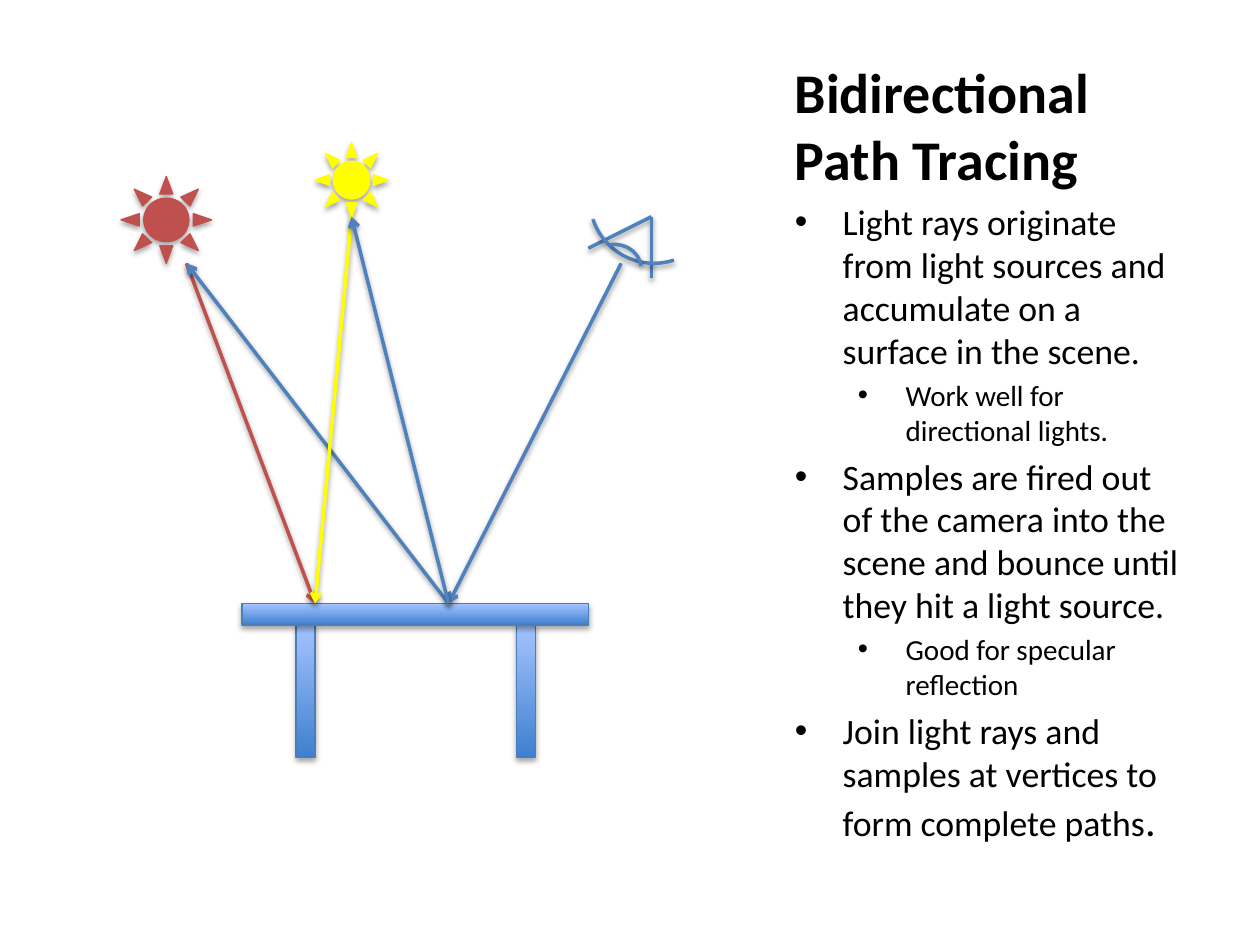
from dataclasses import dataclass

from lxml import etree
from pptx import Presentation, util as u
from pptx.dml.color import RGBColor
from pptx.enum import shapes, text
from pptx.oxml import ns

Inches, Pt = u.Inches, u.Pt
Kind = shapes.MSO_SHAPE


@dataclass(frozen=True)
class Theme:
    """Colours and type sizes of the slide."""
    font: str = "Calibri"
    ink: str = "000000"
    blue: str = "4F81BD"
    edge: str = "4B7EBC"
    deep: str = "3F80CE"
    pale: str = "A4C4FF"
    red: str = "C0504D"
    yellow: str = "FFFF00"
    title: float = 32
    points: tuple = (20.4, 16.6)
    stop: float = 24.1
    thin: float = 0.75
    thick: float = 2


@dataclass(frozen=True)
class Ray:
    """A straight line between two points."""
    start: tuple
    end: tuple
    color: str
    arrow: bool = True


@dataclass(frozen=True)
class Part:
    """A preset shape: box in inches, colour, optional turn."""
    kind: int
    box: tuple
    color: str
    turn: float = 0


@dataclass(frozen=True)
class Point:
    """A bullet with its level and an optional larger ending."""
    words: str
    level: int = 0
    tail: str = ""


T = Theme()
RED, GOLD, EYE = (1.48, 2.09), (2.79, 1.72), (4.93, 2.09)
LEFT, RIGHT = (2.5, 4.79), (3.56, 4.79)
LENS = (5.17, 1.72)

LIDS = [Ray((4.67, 1.97), LENS, T.blue, False),
        Ray(LENS, (5.17, 2.21), T.blue, False)]
ARCS = [Part(Kind.ARC, (4.68, 1.07, 1.02, 1.02), T.blue, 161.8),
        Part(Kind.ARC, (4.65, 1.94, 0.44, 0.4), T.blue, 352.6)]
TABLE = [Part(Kind.RECTANGLE, (x, 4.96, 0.15, 1.05), T.edge)
         for x in (2.35, 4.1)]
TABLE.append(Part(Kind.RECTANGLE, (1.92, 4.79, 2.75, 0.17), T.edge))
SCENE = LIDS + ARCS + TABLE + [
    Part(Kind.SUN, (0.96, 1.4, 0.72, 0.69), T.red),
    Ray(RED, LEFT, T.red),
    Ray(EYE, RIGHT, T.blue),
    Ray(RIGHT, RED, T.blue),
    Part(Kind.SUN, (2.5, 1.13, 0.58, 0.6), T.yellow),
    Ray(GOLD, LEFT, T.yellow),
    Ray(RIGHT, GOLD, T.blue),
]
POINTS = [
    Point("Light rays originate from light sources and accumulate "
          "on a surface in the scene."),
    Point("Work well for directional lights.", 1),
    Point("Samples are fired out of the camera into the scene and "
          "bounce until they hit a light source."),
    Point("Good for specular reflection", 1),
    Point("Join light rays and samples at vertices to form complete paths",
          tail="."),
]


def rgb(code: str) -> RGBColor:
    """Turn a hex code into a colour."""
    return RGBColor.from_string(code)


def sub(node, tag: str, **attrs):
    """Append a drawing element to a node."""
    return etree.SubElement(node, ns.qn("a:" + tag), attrs)


def shade(shape, dist: float, alpha: int) -> None:
    """Drop a soft shadow straight below a shape."""
    props = shape._element.spPr
    for old in props.findall(ns.qn("a:effectLst")):
        props.remove(old)
    cast = sub(sub(props, "effectLst"), "outerShdw", blurRad=str(Pt(3.1)),
               dist=str(Pt(dist)), dir="5400000", rotWithShape="0")
    tint = sub(cast, "srgbClr", val=T.ink)
    sub(tint, "alpha", val=str(alpha * 1000))


def stroke(shape, color: str, width: float) -> None:
    """Set the line of a shape."""
    shape.line.color.rgb = rgb(color)
    shape.line.width = Pt(width)


def draw_ray(slide, ray: Ray) -> None:
    """Draw a line, with an arrowhead if wanted."""
    ends = [Inches(v) for v in ray.start + ray.end]
    line = slide.shapes.add_connector(shapes.MSO_CONNECTOR.STRAIGHT, *ends)
    stroke(line, ray.color, T.thick)
    if ray.arrow:
        sub(line.line._get_or_add_ln(), "tailEnd", type="arrow")
    shade(line, 1.6, 38)


def draw_part(slide, part: Part) -> None:
    """Draw an arc, a table board or a sun."""
    box = [Inches(v) for v in part.box]
    shape = slide.shapes.add_shape(part.kind, *box)
    shape.rotation = part.turn
    curve = part.kind == Kind.ARC
    if curve:
        shape.fill.background()
    elif part.kind == Kind.RECTANGLE:
        shape.fill.gradient()
        shape.fill.gradient_angle = 90
        stops = shape.fill.gradient_stops
        for stop, place, color in zip(stops, (0, 1), (T.deep, T.pale)):
            stop.position = place
            stop.color.rgb = rgb(color)
    else:
        shape.fill.solid()
        shape.fill.fore_color.rgb = rgb(part.color)
    stroke(shape, part.color, T.thick if curve else T.thin)
    shade(shape, *((1.6, 38) if curve else (1.8, 35)))


def style(run, size: float, bold: bool = False) -> None:
    """Format one run."""
    font = run.font
    font.name, font.size, font.bold = T.font, Pt(size), bold
    font.color.rgb = rgb(T.ink)


def add_box(slide, top: float, height: float):
    """Add a wrapping text box in the right column."""
    box = slide.shapes.add_textbox(Inches(6.21), Inches(top),
                                   Inches(3.29), Inches(height))
    box.text_frame.word_wrap = True
    return box.text_frame


def add_title(slide) -> None:
    """Write the heading."""
    frame = add_box(slide, 0.3, 1.27)
    frame.vertical_anchor = text.MSO_ANCHOR.BOTTOM
    frame.text = "Bidirectional Path Tracing"
    style(frame.paragraphs[0].runs[0], T.title, True)


def add_points(slide) -> None:
    """Write the bullet list."""
    frame = add_box(slide, 1.54, 5.13)
    for i, item in enumerate(POINTS):
        para = frame.add_paragraph() if i else frame.paragraphs[0]
        para.text = item.words
        para.level = item.level
        size = T.points[item.level]
        para.space_before = Pt(0.2 * size)
        style(para.runs[0], size)
        if item.tail:
            end = para.add_run()
            end.text = item.tail
            style(end, T.stop)
        props = para._p.get_or_add_pPr()
        props.set("marL", str(Inches(0.38 + 0.5 * item.level)))
        props.set("indent", str(Inches(-0.38)))
        sub(props, "buFont", typeface="Arial")
        sub(props, "buChar", char="•")


def main() -> None:
    """Build and save the slide."""
    deck = Presentation()
    deck.slide_width, deck.slide_height = Inches(10), Inches(7.5)
    slide = deck.slides.add_slide(deck.slide_layouts[6])
    add_title(slide)
    add_points(slide)
    for item in SCENE:
        draw = draw_ray if isinstance(item, Ray) else draw_part
        draw(slide, item)
    deck.save("out.pptx")


main()
